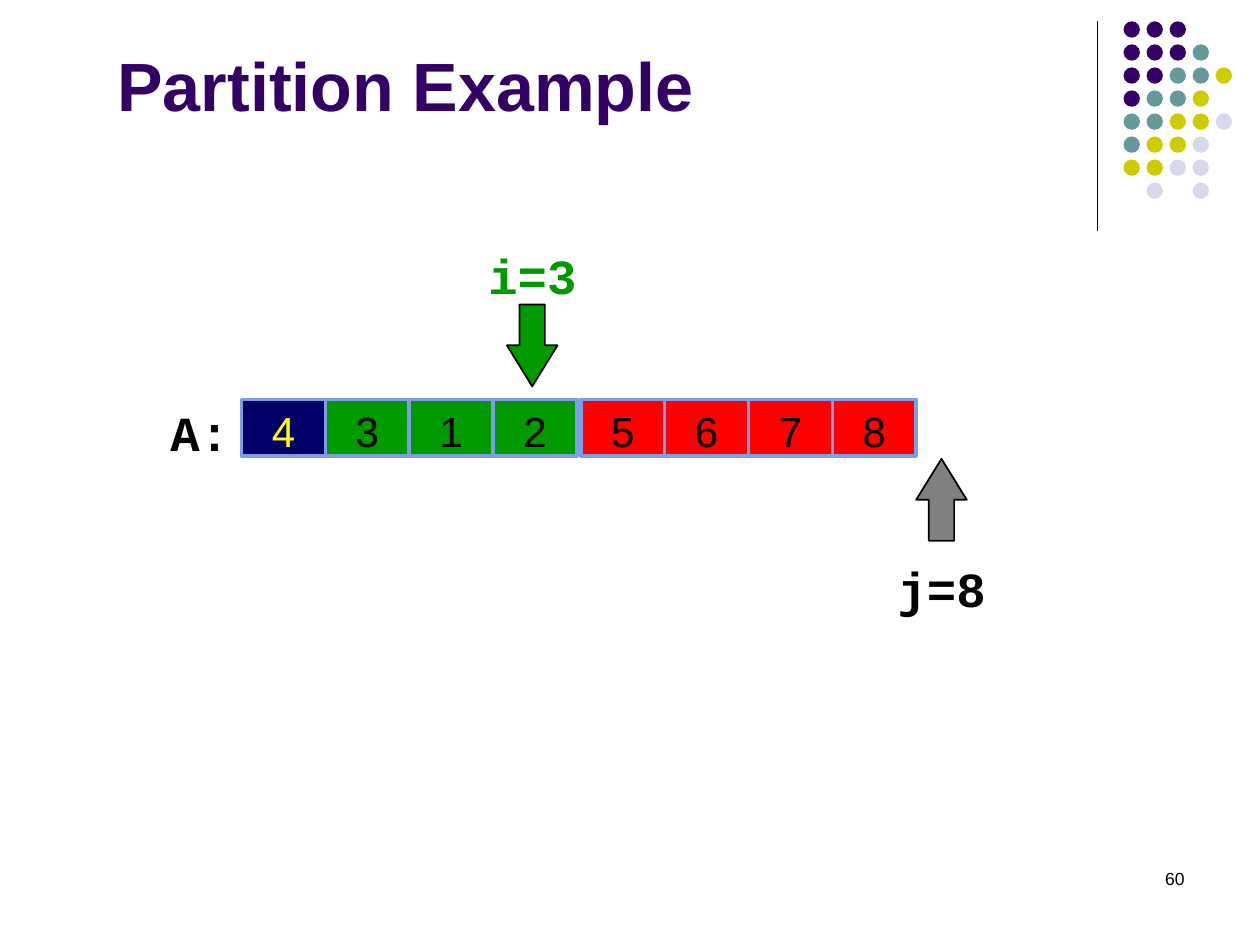
import pptx
import pptx.util
import pptx.dml.color
import pptx.enum.shapes
import pptx.enum.text
import pptx.oxml

Cm, Pt = pptx.util.Cm, pptx.util.Pt
KIND = pptx.enum.shapes.MSO_SHAPE
ALIGN = pptx.enum.text.PP_ALIGN
ANCHOR = pptx.enum.text.MSO_ANCHOR

HUES = {
    "plum": "330066", "teal": "669999", "lime": "CCCC00", "mist": "D8D8EC",
    "navy": "000066", "green": "009900", "red": "FF0000", "gray": "808080",
    "edge": "7E9CE8", "yellow": "FFFF00", "black": "000000",
}
DOTS = ["PPP", "PPPT", "PPTTL", "PTTL", "TTLLM", "TLLM", "LLMM", " M M"]
CODES = {"P": "plum", "T": "teal", "L": "lime", "M": "mist"}


def hue(name):
    return pptx.dml.color.RGBColor.from_string(HUES[name])


def write(shape, text, size, color, font="Arial", bold=False,
          align=ALIGN.LEFT, anchor=ANCHOR.TOP, top=0.13, bottom=0.13):
    frame = shape.text_frame
    frame.word_wrap = True
    frame.vertical_anchor = anchor
    frame.margin_left = frame.margin_right = Cm(0.25)
    frame.margin_top, frame.margin_bottom = Cm(top), Cm(bottom)
    para = frame.paragraphs[0]
    para.alignment = align
    run = para.add_run()
    run.text = text
    run.font.name, run.font.size, run.font.bold = font, Pt(size), bold
    run.font.color.rgb = hue(color)


def label(slide, box, text, *look, **more):
    shape = slide.shapes.add_textbox(*map(Cm, box))
    write(shape, text, *look, **more)


def code(slide, box, text, color="black", align=ALIGN.CENTER):
    label(slide, box, text, 28, color, "Courier New", True, align,
          top=0.3, bottom=0)


def draw(shapes, kind, box, fill, line=None, width=1):
    shape = shapes.add_shape(kind, *map(Cm, box))
    shape.shadow.inherit = False
    shape.fill.solid()
    shape.fill.fore_color.rgb = hue(fill)
    if line:
        shape.line.color.rgb = hue(line)
        shape.line.width = Pt(width)
    else:
        shape.line.fill.background()
    return shape


def corner(slide, left, top, height):
    """Vertical rule with the dot pattern to its right."""
    rule = slide.shapes.add_connector(
        pptx.enum.shapes.MSO_CONNECTOR.STRAIGHT,
        Cm(left), Cm(top), Cm(left), Cm(top + height))
    rule.line.color.rgb = hue("black")
    rule.line.width = Pt(0.75)
    rule._element.spPr.append(pptx.oxml.parse_xml(
        '<a:effectLst xmlns:a='
        '"http://schemas.openxmlformats.org/drawingml/2006/main"/>'))
    step = 3.25 / 7
    group = slide.shapes.add_group_shape()
    for row, marks in enumerate(DOTS):
        for col, mark in enumerate(marks):
            if mark in CODES:
                box = (left + 0.53 + col * step, top + row * step, 0.33, 0.33)
                draw(group.shapes, KIND.OVAL, box, CODES[mark])


def cells(slide, left, top, items):
    """One run of touching array cells."""
    wide = 1.69
    for i, (text, fill, color) in enumerate(items):
        box = (left + i * wide, top, wide, 1.14)
        cell = draw(slide.shapes, KIND.RECTANGLE, box, fill, "edge", 2)
        write(cell, text, 24, color, align=ALIGN.CENTER,
              anchor=ANCHOR.BOTTOM, bottom=0)


def arrow(slide, kind, mid, top, fill):
    shape = draw(slide.shapes, kind, (mid - 0.51, top, 1.02, 1.65),
                 fill, "black")
    shape.adjustments[0], shape.adjustments[1] = 0.5, 0.81


def array(slide, left, top):
    """Array with its name, both parts and the index pointers."""
    code(slide, (left - 4.45, top - 0.23, 4.45, 1.45), "A:",
         align=ALIGN.RIGHT)
    low = [("4", "navy", "yellow")]
    low += [(n, "green", "black") for n in "312"]
    cells(slide, left, top, low)
    cells(slide, left + 6.84, top, [(n, "red", "black") for n in "5678"])

    # Index i above, index j below
    arrow(slide, KIND.DOWN_ARROW, left + 5.86, top - 1.91, "green")
    code(slide, (left + 2.37, top - 3.4, 6.99, 1.45), "i=3", "green")
    arrow(slide, KIND.UP_ARROW, left + 14.11, top + 1.2, "gray")
    code(slide, (left + 10.62, top + 2.9, 6.99, 1.45), "j=8")


def main():
    deck = pptx.Presentation()
    deck.slide_width, deck.slide_height = Cm(25.4), Cm(19.05)
    slide = deck.slides.add_slide(deck.slide_layouts[6])
    corner(slide, 22.12, 0.43, 4.22)
    label(slide, (2.12, 0, 21.59, 3.18), "Partition Example", 39, "plum",
          bold=True, anchor=ANCHOR.MIDDLE, top=0.36)
    array(slide, 4.87, 8.05)
    label(slide, (18.2, 17.36, 5.93, 1.27), "60", 10, "black",
          align=ALIGN.RIGHT)
    deck.save("out.pptx")


if __name__ == "__main__":
    main()
